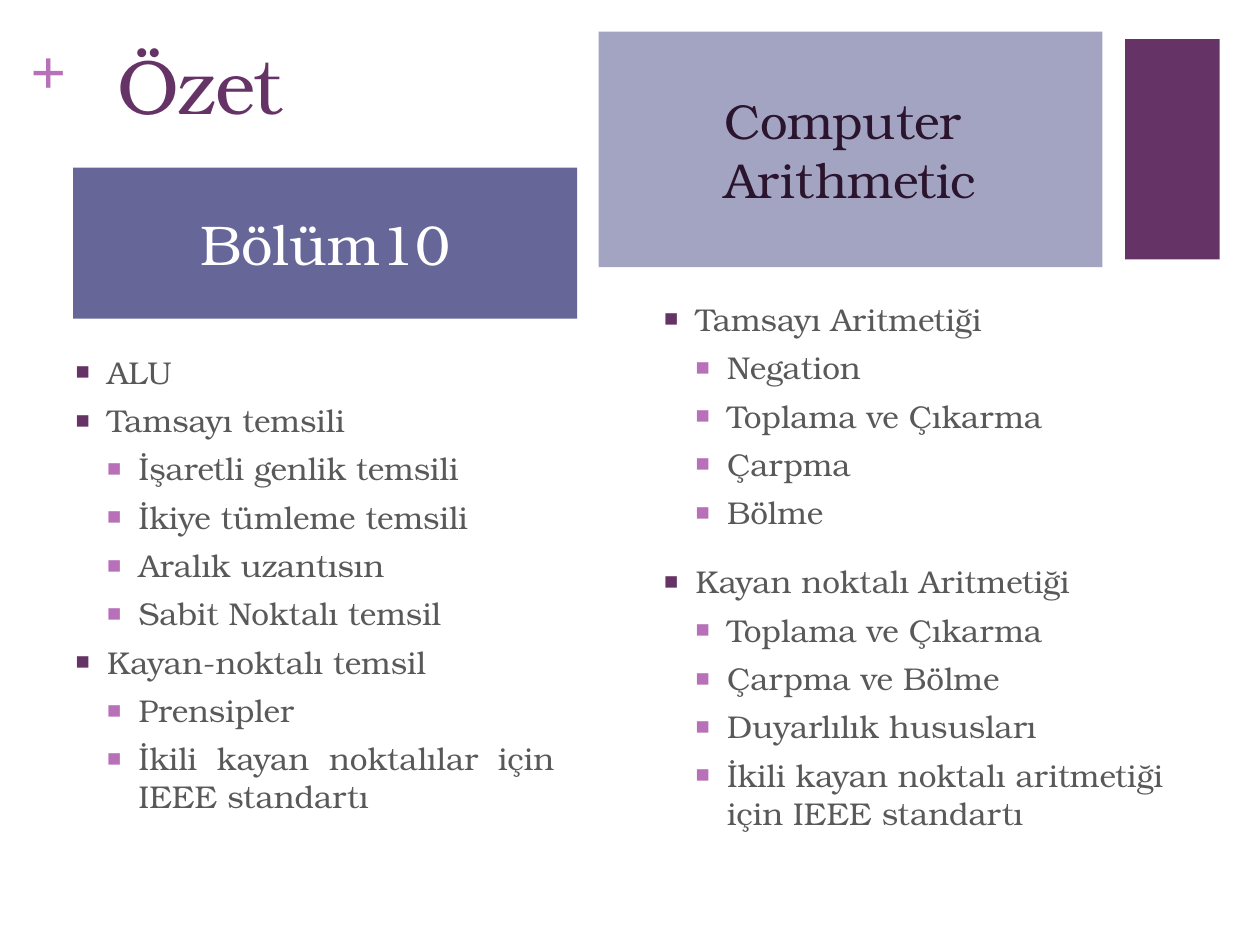
from lxml import etree
from pptx import Presentation
from pptx.dml.color import RGBColor
from pptx.enum.shapes import MSO_SHAPE
from pptx.enum.text import MSO_ANCHOR, MSO_AUTO_SIZE, PP_ALIGN
from pptx.oxml.ns import qn
from pptx.util import Inches, Pt

RECT = MSO_SHAPE.RECTANGLE
TOP, MIDDLE = MSO_ANCHOR.TOP, MSO_ANCHOR.MIDDLE
LEFT, CENTER, JUSTIFY = PP_ALIGN.LEFT, PP_ALIGN.CENTER, PP_ALIGN.JUSTIFY
NO_FIT = MSO_AUTO_SIZE.NONE

# Content: lists hold (level, text)
TITLE = "Özet"
LEFT_LIST = [
    (0, "ALU"),
    (0, "Tamsayı temsili"),
    (1, "İşaretli genlik temsili"),
    (1, "İkiye tümleme temsili"),
    (1, "Aralık uzantısın"),
    (1, "Sabit Noktalı temsil"),
    (0, "Kayan-noktalı temsil"),
    (1, "Prensipler"),
    (1, "İkili kayan noktalılar için IEEE standartı"),
]
RIGHT_LIST = [
    (0, "Tamsayı Aritmetiği"),
    (1, "Negation"),
    (1, "Toplama ve Çıkarma"),
    (1, "Çarpma"),
    (1, "Bölme"),
    (0, "Kayan noktalı Aritmetiği"),
    (1, "Toplama ve Çıkarma"),
    (1, "Çarpma ve Bölme"),
    (1, "Duyarlılık hususları"),
    (1, "İkili kayan noktalı aritmetiği için IEEE standartı"),
]

THEME = {
    "plum": "663366", "orchid": "B870B8", "slate": "666699", "mist": "A3A3C2",
    "gray": "595959", "white": "FFFFFF", "night": "2B142D",
    "font": "TeX Gyre Bonum", "mark": "Times New Roman",
    "title": 44, "plus": 36, "chapter": 32, "topic": 28, "body": 18,
}
BULLETS = ("plum", "orchid")
STEP = 0.25

# Placeholder index: box, lines, fill, colour, size
HEADS = {
    1: ((0.58, 1.33, 4, 1.2), ["Bölüm10"], "slate", "white", "chapter"),
    3: ((4.75, 0.25, 4, 1.87), ["Computer ", "Arithmetic"], "mist", "night", "topic"),
}
# Placeholder index: box, items, alignment, space before each level
LISTS = {
    2: ((0.5, 2.75, 4, 4.75), LEFT_LIST, JUSTIFY, (6, 6)),
    4: ((5.17, 2.33, 4.17, 5.17), RIGHT_LIST, LEFT, (18, 6)),
}


def rgb(name):
    return RGBColor.from_string(THEME[name])


def apply(item, values):
    for name, value in values.items():
        setattr(item, name, value)


def place(shape, box):
    apply(shape, dict(zip(("left", "top", "width", "height"), map(Inches, box))))


def paint(shape, color):
    shape.fill.solid()
    shape.fill.fore_color.rgb = rgb(color)
    shape.line.fill.background()


def write(par, text, color, size, font="font", bold=False):
    run = par.add_run()
    run.text = text
    apply(run.font, {"name": THEME[font], "size": Pt(THEME[size]), "bold": bold})
    run.font.color.rgb = rgb(color)


def pars(frame, count):
    for _ in range(count - 1):
        frame.add_paragraph()
    return frame.paragraphs


def bullet(par, level):
    props = par._p.get_or_add_pPr()
    props.set("marL", str(Inches(STEP * (level + 1))))
    props.set("indent", str(-Inches(STEP)))
    color = etree.SubElement(props, qn("a:buClr"))
    etree.SubElement(color, qn("a:srgbClr"), val=THEME[BULLETS[level]])
    etree.SubElement(props, qn("a:buSzPct"), val="75000")
    etree.SubElement(props, qn("a:buChar"), char="■")


deck = Presentation()
deck.slide_width, deck.slide_height = Inches(10), Inches(7.5)
slide = deck.slides.add_slide(deck.slide_layouts[4])
holders = {item.placeholder_format.idx: item for item in slide.placeholders}

# Accent block and plus mark
block = slide.shapes.add_shape(RECT, 0, 0, 0, 0)
block.shadow.inherit = False
place(block, (8.93, 0.31, 0.75, 1.75))
paint(block, "plum")
plus = slide.shapes.add_textbox(0, 0, 0, 0)
place(plus, (0.24, 0.25, 0.29, 0.61))
apply(plus.text_frame, dict.fromkeys(
    ("margin_left", "margin_top", "margin_right", "margin_bottom"), 0))
write(plus.text_frame.paragraphs[0], "+", "orchid", "plus", "mark", True)

# Title
title = slide.shapes.title
place(title, (0.83, 0.25, 3.75, 1.22))
apply(title.text_frame, {"vertical_anchor": TOP, "auto_size": NO_FIT})
title.text_frame.paragraphs[0].alignment = LEFT
write(title.text_frame.paragraphs[0], TITLE, "plum", "title")

# Column headings
for idx, (box, lines, fill, color, size) in HEADS.items():
    head = holders[idx]
    place(head, box)
    paint(head, fill)
    apply(head.text_frame, {"vertical_anchor": MIDDLE, "auto_size": NO_FIT,
                            "margin_top": 0, "margin_bottom": 0})
    for par, text in zip(pars(head.text_frame, len(lines)), lines):
        apply(par, {"alignment": CENTER, "space_before": Pt(0)})
        write(par, text, color, size)

# Bulleted lists
for idx, (box, items, align, gaps) in LISTS.items():
    body = holders[idx]
    place(body, box)
    apply(body.text_frame, {"vertical_anchor": TOP, "auto_size": NO_FIT})
    for row, par in enumerate(pars(body.text_frame, len(items))):
        level, text = items[row]
        bullet(par, level)
        apply(par, {"level": level, "alignment": align,
                    "space_before": Pt(gaps[level] if row else 0)})
        write(par, text, "gray", "body")

deck.save("out.pptx")
